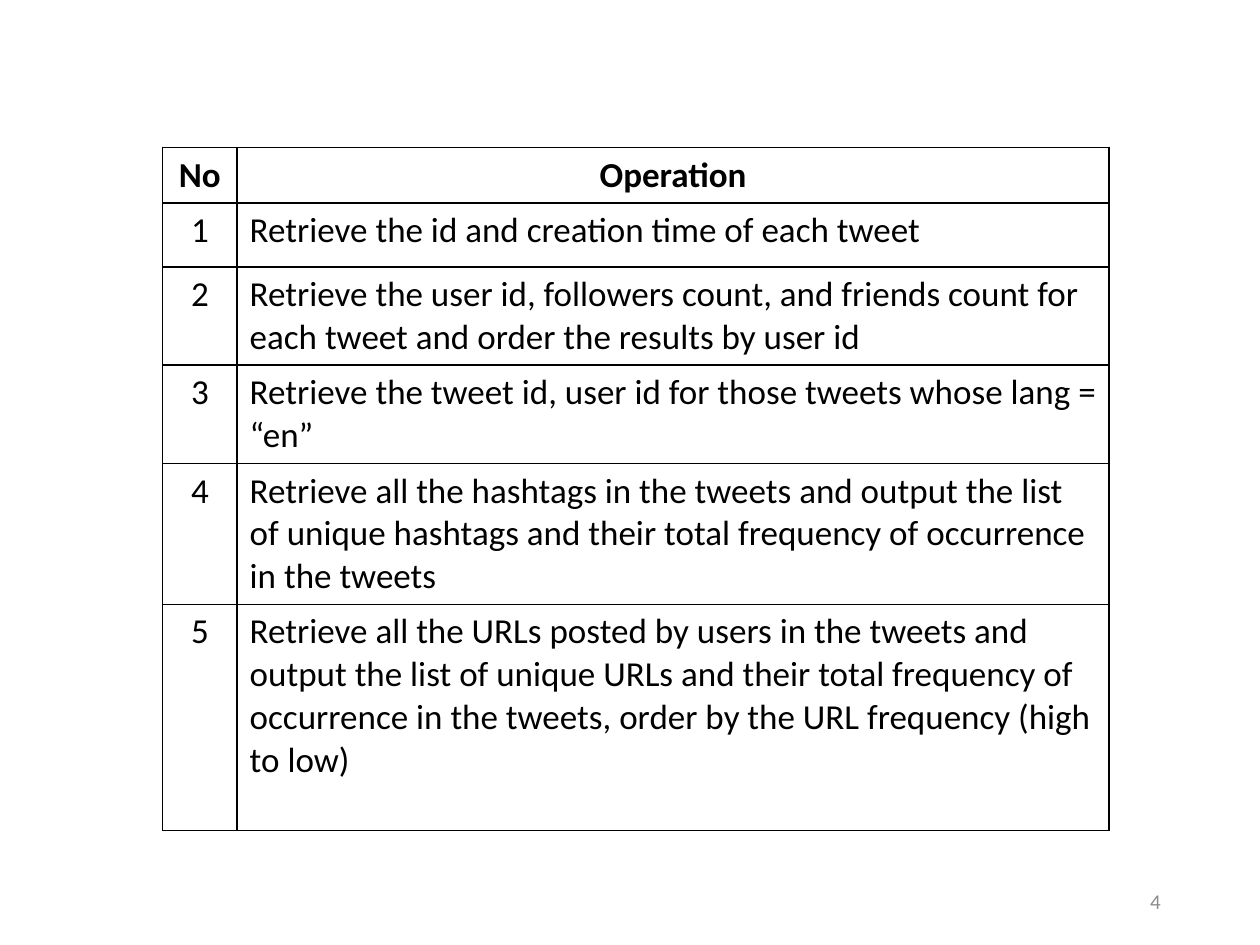
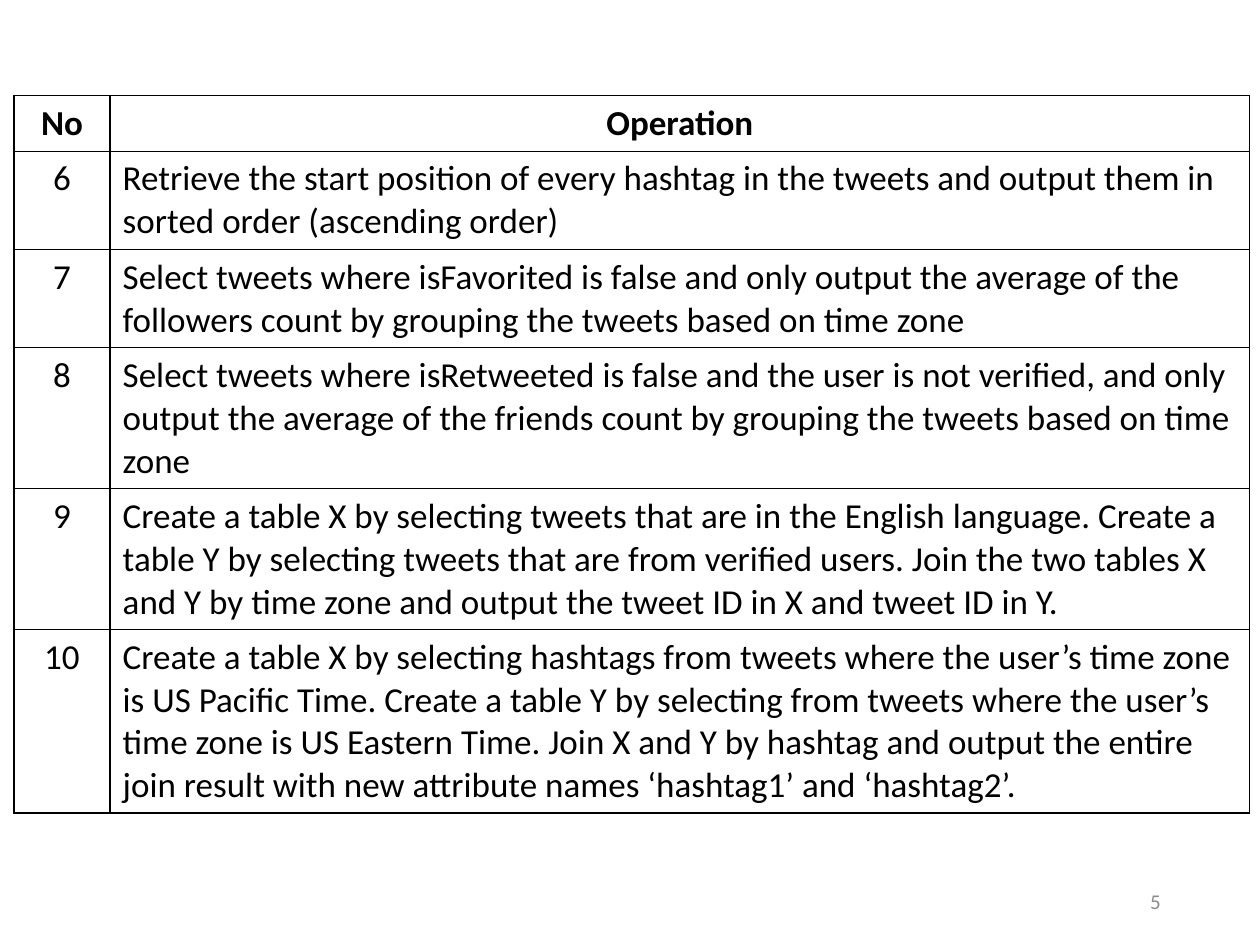
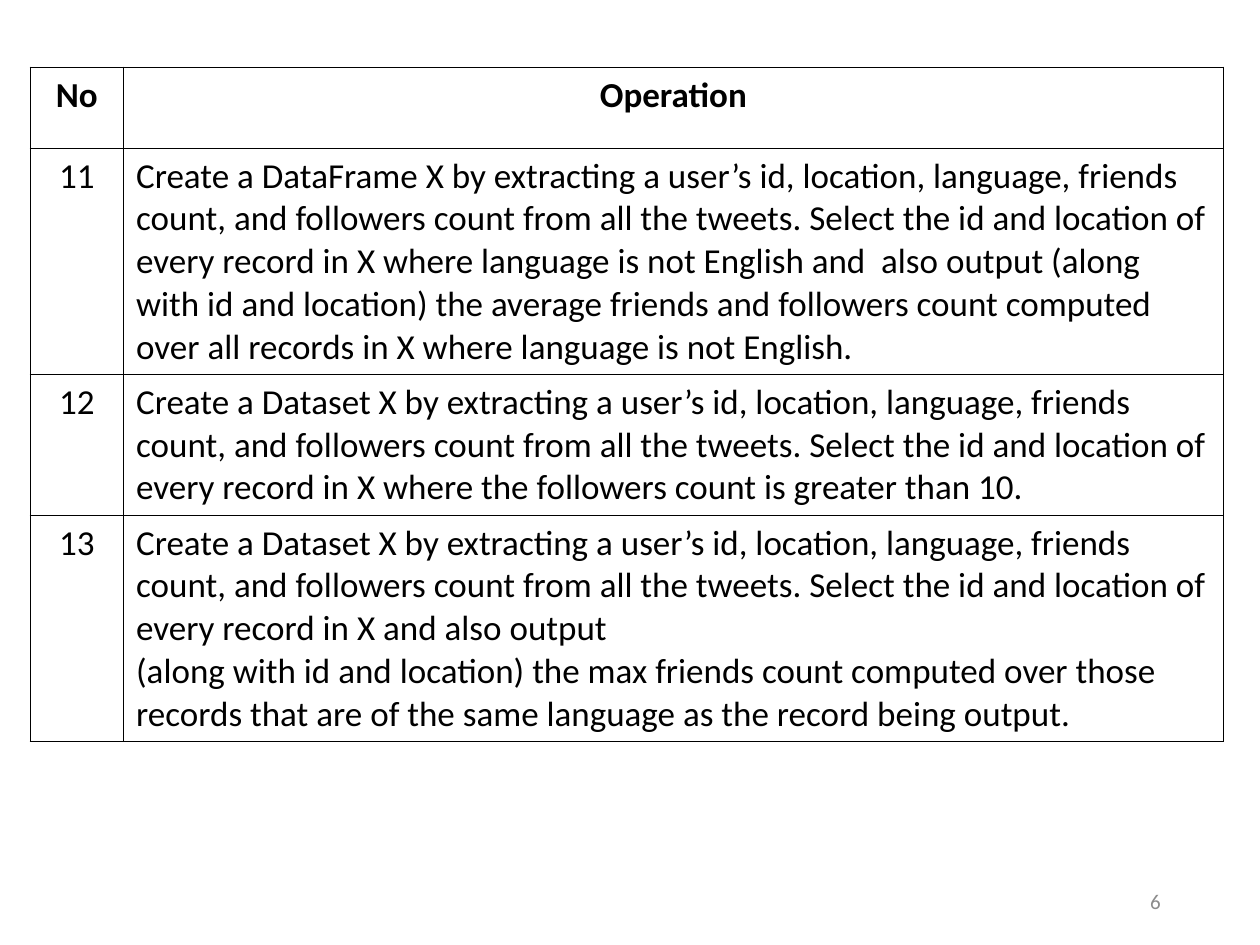
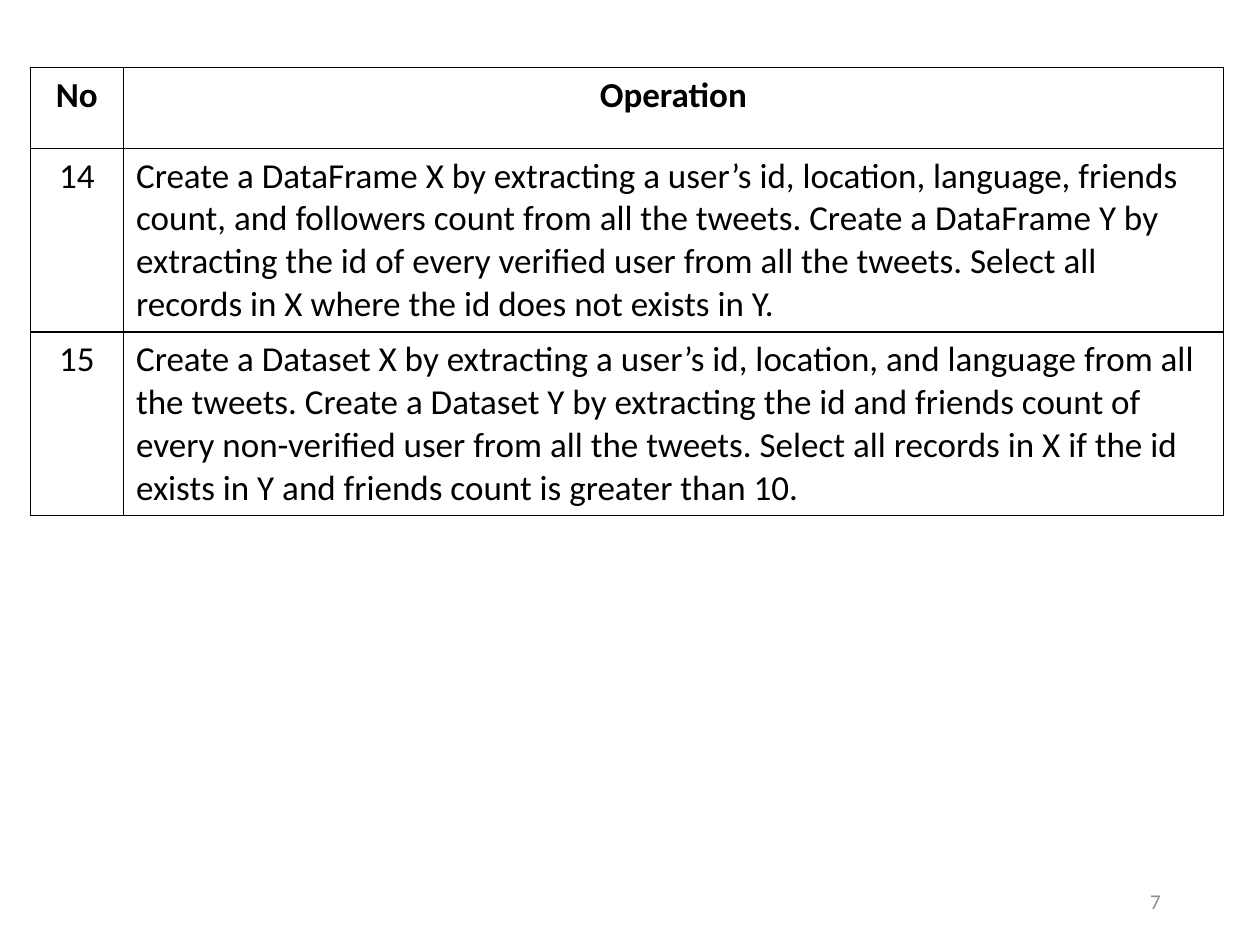
from lxml import etree
from pptx import Presentation
from pptx import util as u
from pptx.dml.color import RGBColor
from pptx.enum import text
from pptx.oxml import ns

Cm, Pt = u.Cm, u.Pt

# Shared style
BLACK = RGBColor(0x00, 0x00, 0x00)
GREY = RGBColor(0x8C, 0x8C, 0x8C)
FONT = "Calibri"
LINE_HEIGHT, CELL_PADDING = 0.86, 0.26  # cm, for 20 pt text
FIRST_PAGE = 4
HEADINGS = ("No", "Operation")


def set_font(paragraph, size, color, bold=False):
    font = paragraph.font
    font.name, font.size, font.bold = FONT, Pt(size), bold
    font.color.rgb = color


def draw_borders(cell):
    properties = cell._tc.get_or_add_tcPr()
    for side in ("a:lnL", "a:lnR", "a:lnT", "a:lnB"):
        line = etree.SubElement(properties, ns.qn(side), w=str(Pt(1)))
        fill = etree.SubElement(line, ns.qn("a:solidFill"))
        etree.SubElement(fill, ns.qn("a:srgbClr"), val=str(BLACK))


# Content: place and column widths in cm, header height, then the operations
# with the number of text lines that each row has room for
pages = [
    dict(left=3.28, top=2.97, widths=(1.5, 17.58), header=1.12, first=1, operations=[
        (1.2, "Retrieve the id and creation time of each tweet"),
        (2, "Retrieve the user id, followers count, and friends count for each tweet "
            "and order the results by user id"),
        (2, "Retrieve the tweet id, user id for those tweets whose lang = “en”"),
        (3, "Retrieve all the hashtags in the tweets and output the list of unique "
            "hashtags and their total frequency of occurrence in the tweets"),
        (5, "Retrieve all the URLs posted by users in the tweets and output the list of "
            "unique URLs and their total frequency of occurrence in the tweets, order by "
            "the URL frequency (high to low)"),
    ]),
    dict(left=0.28, top=1.93, widths=(1.94, 22.97), header=1.12, first=6, operations=[
        (2, "Retrieve the start position of every hashtag in the tweets and output them "
            "in sorted order (ascending order)"),
        (2, "Select tweets where isFavorited is false and only output the average of the "
            "followers count by grouping the tweets based on time zone"),
        (3, "Select tweets where isRetweeted is false and the user is not verified, and "
            "only output the average of the friends count by grouping the tweets based on "
            "time zone"),
        (3, "Create a table X by selecting tweets that are in the English language. Create "
            "a table Y by selecting tweets that are from verified users. Join the two "
            "tables X and Y by time zone and output the tweet ID in X and tweet ID in Y."),
        (4, "Create a table X by selecting hashtags from tweets where the user’s time zone "
            "is US Pacific Time. Create a table Y by selecting from tweets where the "
            "user’s time zone is US Eastern Time. Join X and Y by hashtag and output the "
            "entire join result with new attribute names ‘hashtag1’ and ‘hashtag2’."),
    ]),
    dict(left=0.61, top=1.36, widths=(1.88, 22.17), header=1.63, first=11, operations=[
        (5, "Create a DataFrame X by extracting a user’s id, location, language, friends "
            "count, and followers count from all the tweets. Select the id and location of "
            "every record in X where language is not English and  also output (along with "
            "id and location) the average friends and followers count computed over all "
            "records in X where language is not English."),
        (3, "Create a Dataset X by extracting a user’s id, location, language, friends "
            "count, and followers count from all the tweets. Select the id and location of "
            "every record in X where the followers count is greater than 10."),
        (5, "Create a Dataset X by extracting a user’s id, location, language, friends "
            "count, and followers count from all the tweets. Select the id and location of "
            "every record in X and also output\n"
            "(along with id and location) the max friends count computed over those "
            "records that are of the same language as the record being output."),
    ]),
    dict(left=0.61, top=1.36, widths=(1.88, 22.17), header=1.63, first=14, operations=[
        (4, "Create a DataFrame X by extracting a user’s id, location, language, friends "
            "count, and followers count from all the tweets. Create a DataFrame Y by "
            "extracting the id of every verified user from all the tweets. Select all "
            "records in X where the id does not exists in Y."),
        (4, "Create a Dataset X by extracting a user’s id, location, and language from all "
            "the tweets. Create a Dataset Y by extracting the id and friends count of every "
            "non-verified user from all the tweets. Select all records in X if the id "
            "exists in Y and friends count is greater than 10."),
    ]),
]

prs = Presentation()
prs.slide_width, prs.slide_height = Cm(25.4), Cm(19.05)
blank_layout = prs.slide_layouts[6]

for page_number, page in enumerate(pages, FIRST_PAGE):
    slide = prs.slides.add_slide(blank_layout)

    # Page number
    footer = slide.shapes.add_textbox(Cm(17.93), Cm(17.65), Cm(5.72), Cm(1.02)).text_frame
    footer.word_wrap = True
    footer.vertical_anchor = text.MSO_ANCHOR.MIDDLE
    footer.text = str(page_number)
    footer.paragraphs[0].alignment = text.PP_ALIGN.RIGHT
    set_font(footer.paragraphs[0], 12, GREY)

    # Table rows and their heights
    rows, heights = [HEADINGS], [page["header"]]
    for number, (lines, operation) in enumerate(page["operations"], page["first"]):
        rows.append((str(number), operation))
        heights.append(lines * LINE_HEIGHT + CELL_PADDING)

    # Operations table
    operations = slide.shapes.add_table(
        len(rows), len(HEADINGS), Cm(page["left"]), Cm(page["top"]),
        Cm(sum(page["widths"])), Cm(sum(heights))).table
    operations.first_row = operations.horz_banding = False
    for column, width in zip(operations.columns, page["widths"]):
        column.width = Cm(width)
    for r, (row, height) in enumerate(zip(rows, heights)):
        operations.rows[r].height = Cm(height)
        for c, words in enumerate(row):
            cell = operations.cell(r, c)
            cell.text = words
            draw_borders(cell)
            cell.fill.background()
            centred = r == 0 or c == 0
            for paragraph in cell.text_frame.paragraphs:
                paragraph.alignment = text.PP_ALIGN.CENTER if centred else text.PP_ALIGN.LEFT
                set_font(paragraph, 20, BLACK, bold=r == 0)

prs.save("out.pptx")
